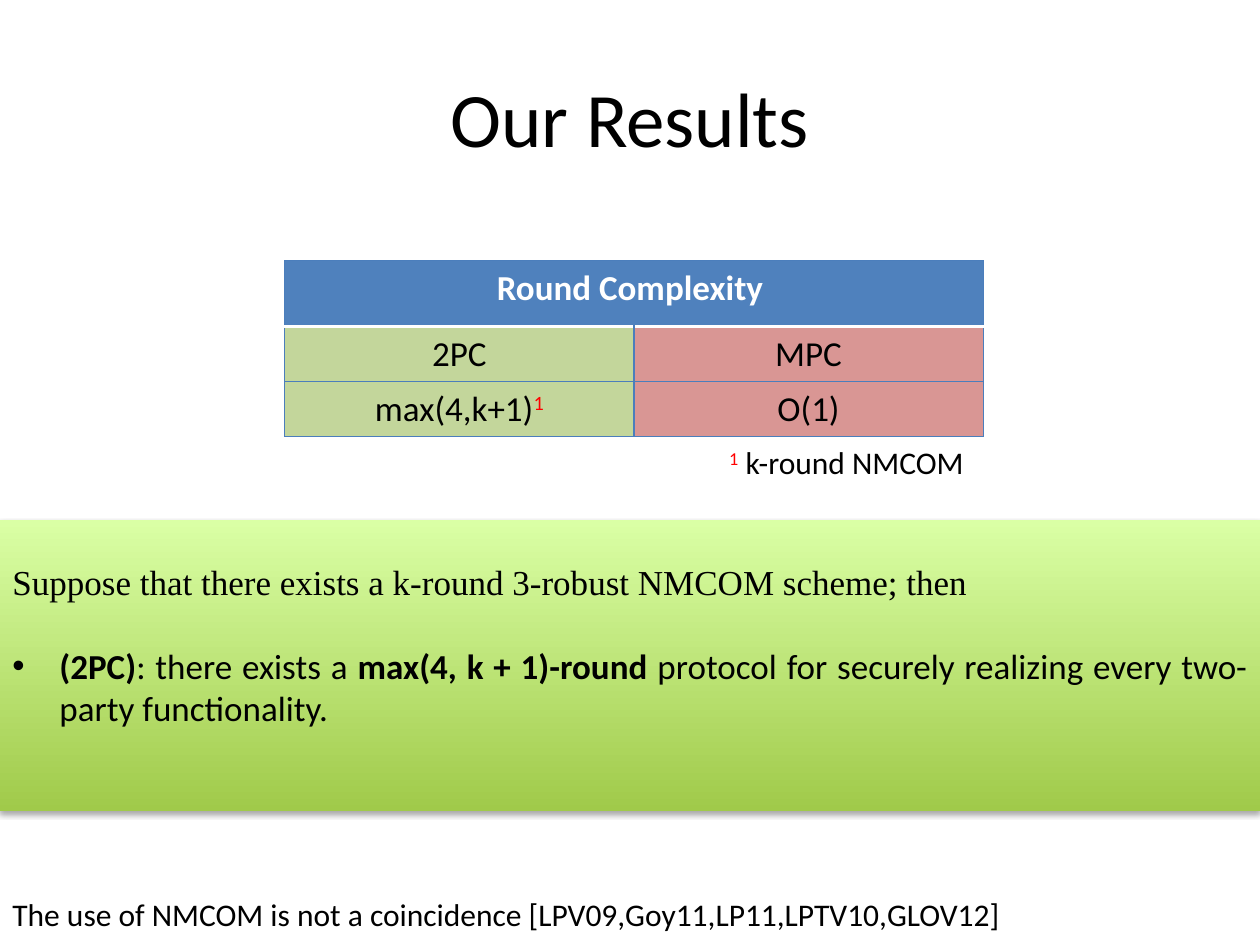
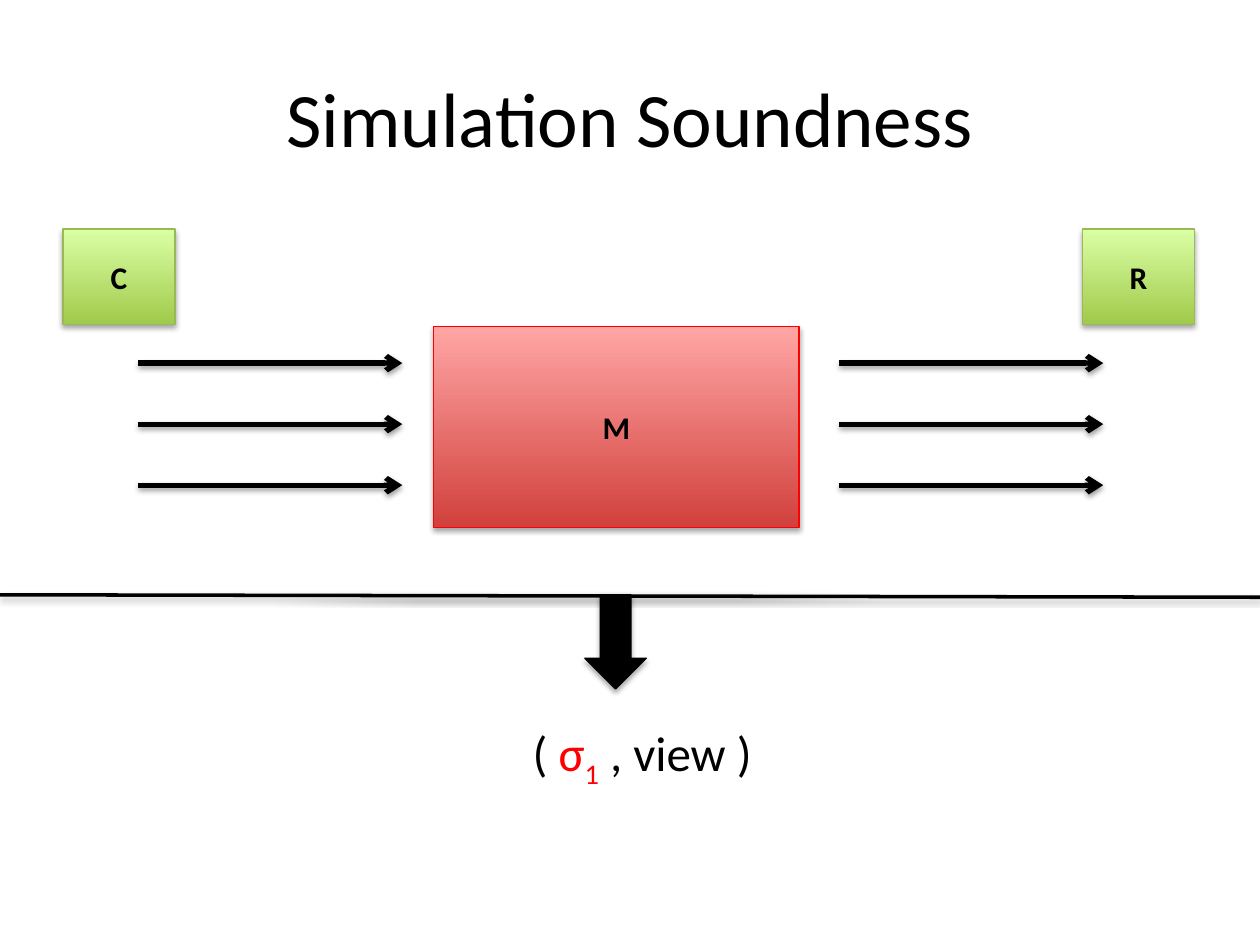
from lxml.etree import Element, SubElement
from pptx import Presentation
from pptx.dml.color import RGBColor
from pptx.enum.shapes import MSO_CONNECTOR, MSO_SHAPE
from pptx.enum.text import MSO_ANCHOR, MSO_AUTO_SIZE, PP_ALIGN
from pptx.oxml.ns import qn
from pptx.util import Cm, Pt

BLACK, WHITE, RED = "000000", "FFFFFF", "FF0000"
HEADER_BLUE, BORDER_BLUE = "4F81BD", "4B7EBC"
GREEN_EDGE = "98B955"
GREEN_GRADIENT = ("A0CA4A", "DAFFA5")
RED_GRADIENT = ("D1403C", "FFA6A5")
SLIDE_WIDTH, SLIDE_HEIGHT = 25.4, 19.05
TITLE_BOX = (1.27, 0.76, 22.86, 3.18)

# Rich text is a list of (text, run options); positions are in centimetres.
RESULTS_TITLE = "Our Results"
FOOTNOTE_MARK = ("1", {"color": RED, "baseline": 30})
COMPLEXITY_HEADER = "Round Complexity "
COMPLEXITY_COLUMNS = [
    ("C3D69B", [[("2PC", {})], [("max(4,k+1)", {}), FOOTNOTE_MARK]]),
    ("D99694", [[("MPC", {})], [("O(1)", {})]]),
]
COMPLEXITY_CORNER = (5.74, 5.26)
COMPLEXITY_COLUMN_WIDTH = 7.04
COMPLEXITY_ROW_HEIGHTS = (1.32, 1.11, 1.11)

FOOTNOTE = [FOOTNOTE_MARK, (" k-round NMCOM", {})]
FOOTNOTE_BOX = (14.45, 8.81, 5.36, 1.02)
THEOREM_PREMISE = [("Suppose that there exists a k-round 3-robust NMCOM scheme; then", {})]
THEOREM_CLAIM = [
    ("(2PC)", {"bold": True}),
    (": there exists a ", {}),
    ("max(4, k + 1)-round", {"bold": True}),
    (" protocol for securely realizing every two-party functionality.", {}),
]
THEOREM_BOX = (0, 10.49, SLIDE_WIDTH, 5.87)
CITATION = [("The use of NMCOM is not a coincidence [LPV09,Goy11,LP11,LPTV10,GLOV12]", {})]
CITATION_BOX = (0, 17.91, 20.5, 1.02)

SOUNDNESS_TITLE = "Simulation Soundness"
PARTIES = [
    ("M", (8.74, 6.58, 7.37, 4.06), RED_GRADIENT, RED),
    ("C", (1.27, 4.62, 2.26, 1.93), GREEN_GRADIENT, GREEN_EDGE),
    ("R", (21.82, 4.62, 2.26, 1.93), GREEN_GRADIENT, GREEN_EDGE),
]
MESSAGE_STARTS = (2.79, 16.92)
MESSAGE_LENGTH = 5.32
MESSAGE_TOP, MESSAGE_GAP, MESSAGE_COUNT = 7.32, 1.23, 3
DIVIDER = (0, 11.99, SLIDE_WIDTH, 12.04)
OUTPUT_ARROW_BOX = (11.79, 11.99, 1.24, 1.9)
OUTPUT = [
    ("( ", {}),
    ("σ", {"color": RED}),
    ("1", {"color": RED, "baseline": -25}),
    (" , view )", {}),
]
OUTPUT_BOX = (10.49, 14.45, 5.03, 1.45)


def rgb(value):
    return RGBColor.from_string(value)


def cm(values):
    return [Cm(value) for value in values]


def write(paragraph, runs, size, color=BLACK, bold=False, font="Calibri", align=PP_ALIGN.LEFT):
    paragraph.alignment = align
    paragraph.font.name = font
    paragraph.font.size = Pt(size)
    paragraph.font.bold = bold
    paragraph.font.color.rgb = rgb(color)
    for text, options in runs:
        run = paragraph.add_run()
        run.text = text
        if "bold" in options:
            run.font.bold = options["bold"]
        if "color" in options:
            run.font.color.rgb = rgb(options["color"])
        if "baseline" in options:
            run._r.get_or_add_rPr().set("baseline", str(options["baseline"] * 1000))


def add_bullet(paragraph, indent):
    """Give an already formatted paragraph a hanging bullet."""
    properties = paragraph._p.get_or_add_pPr()
    properties.set("marL", str(Cm(indent)))
    properties.set("indent", str(-Cm(indent)))
    defaults = properties.find(qn("a:defRPr"))
    defaults.addprevious(Element(qn("a:buFont"), typeface="Arial"))
    defaults.addprevious(Element(qn("a:buChar"), char="•"))


def add_shadow(effects, distance, opacity):
    shadow = SubElement(effects, qn("a:outerShdw"), blurRad=str(Pt(3.1)),
                        dist=str(Pt(distance)), dir="5400000", rotWithShape="0")
    tone = SubElement(shadow, qn("a:srgbClr"), val=BLACK)
    SubElement(tone, qn("a:alpha"), val=str(opacity * 1000))


def add_label(slide, box, runs, size):
    """Add a one-line text box that fits its text."""
    frame = slide.shapes.add_textbox(*cm(box)).text_frame
    frame.word_wrap = False
    frame.auto_size = MSO_AUTO_SIZE.SHAPE_TO_FIT_TEXT
    write(frame.paragraphs[0], runs, size)


def add_block(slide, preset, box, colors, edge=None):
    """Add a shadowed shape, with a bottom-to-top gradient if two colours are given."""
    block = slide.shapes.add_shape(preset, *cm(box))
    if len(colors) == 1:
        block.fill.solid()
        block.fill.fore_color.rgb = rgb(colors[0])
    else:
        block.fill.gradient()
        block.fill.gradient_angle = 90
        for stop, color, position in zip(block.fill.gradient_stops, colors, (0, 1)):
            stop.color.rgb = rgb(color)
            stop.position = position
    if edge:
        block.line.color.rgb = rgb(edge)
        block.line.width = Pt(0.75)
    else:
        block.line.fill.background()
    block.shadow.inherit = False
    add_shadow(block._element.spPr.find(qn("a:effectLst")), 1.8, 35)
    block.text_frame.word_wrap = True
    block.text_frame.vertical_anchor = MSO_ANCHOR.MIDDLE
    return block


def add_line(slide, ends, width, arrow=False):
    line = slide.shapes.add_connector(MSO_CONNECTOR.STRAIGHT, *cm(ends))
    line.line.color.rgb = rgb(BLACK)
    line.line.width = Pt(width)
    properties = line._element.spPr
    if arrow:
        SubElement(properties.find(qn("a:ln")), qn("a:tailEnd"), type="arrow")
    add_shadow(SubElement(properties, qn("a:effectLst")), 1.6, 38)


def add_titled_slide(presentation, title):
    slide = presentation.slides.add_slide(presentation.slide_layouts[6])
    frame = slide.shapes.add_textbox(*cm(TITLE_BOX)).text_frame
    frame.word_wrap = True
    frame.vertical_anchor = MSO_ANCHOR.MIDDLE
    write(frame.paragraphs[0], [(title, {})], 44, align=PP_ALIGN.CENTER)
    return slide


def style_cell(cell, fill, white_side):
    """Draw the cell's borders, one of them white and thicker, then its fill."""
    properties = cell._tc.get_or_add_tcPr()
    for side in "LRTB":
        color, width = (WHITE, 2) if side == white_side else (BORDER_BLUE, 0.75)
        border = SubElement(properties, qn(f"a:ln{side}"), w=str(Pt(width)))
        SubElement(SubElement(border, qn("a:solidFill")), qn("a:srgbClr"), val=color)
    cell.fill.solid()
    cell.fill.fore_color.rgb = rgb(fill)


def add_complexity_table(slide):
    column_count = len(COMPLEXITY_COLUMNS)
    size = (column_count * COMPLEXITY_COLUMN_WIDTH, sum(COMPLEXITY_ROW_HEIGHTS))
    table = slide.shapes.add_table(len(COMPLEXITY_ROW_HEIGHTS), column_count,
                                   *cm(COMPLEXITY_CORNER + size)).table
    for row, height in zip(table.rows, COMPLEXITY_ROW_HEIGHTS):
        row.height = Cm(height)
    for index, (fill, entries) in enumerate(COMPLEXITY_COLUMNS):
        table.columns[index].width = Cm(COMPLEXITY_COLUMN_WIDTH)
        style_cell(table.cell(0, index), HEADER_BLUE, "B")
        for row, runs in enumerate(entries, start=1):
            cell = table.cell(row, index)
            style_cell(cell, fill, "T" if row == 1 else None)
            write(cell.text_frame.paragraphs[0], runs, 20, align=PP_ALIGN.CENTER)
    header = table.cell(0, 0)
    header.merge(table.cell(0, column_count - 1))
    write(header.text_frame.paragraphs[0], [(COMPLEXITY_HEADER, {})], 20, WHITE, True,
          align=PP_ALIGN.CENTER)


def add_theorem(slide):
    frame = add_block(slide, MSO_SHAPE.RECTANGLE, THEOREM_BOX, GREEN_GRADIENT).text_frame
    frame.margin_bottom = Cm(0.99)
    write(frame.paragraphs[0], THEOREM_PREMISE, 20, font="Times New Roman",
          align=PP_ALIGN.JUSTIFY)
    claim = frame.add_paragraph()
    claim.space_before = Pt(24)
    write(claim, THEOREM_CLAIM, 20, align=PP_ALIGN.JUSTIFY)
    add_bullet(claim, 0.95)


def build_results(presentation):
    slide = add_titled_slide(presentation, RESULTS_TITLE)
    add_theorem(slide)
    add_label(slide, FOOTNOTE_BOX, FOOTNOTE, 18)
    add_complexity_table(slide)
    add_label(slide, CITATION_BOX, CITATION, 18)


def build_soundness(presentation):
    slide = add_titled_slide(presentation, SOUNDNESS_TITLE)
    for party, box, gradient, edge in PARTIES:
        block = add_block(slide, MSO_SHAPE.RECTANGLE, box, gradient, edge)
        write(block.text_frame.paragraphs[0], [(party, {})], 18, bold=True,
              align=PP_ALIGN.CENTER)
    for start in MESSAGE_STARTS:
        for index in range(MESSAGE_COUNT):
            y = MESSAGE_TOP + index * MESSAGE_GAP
            add_line(slide, (start, y, start + MESSAGE_LENGTH, y), 3, arrow=True)
    add_line(slide, DIVIDER, 2)
    add_block(slide, MSO_SHAPE.DOWN_ARROW, OUTPUT_ARROW_BOX, [BLACK], BLACK)
    add_label(slide, OUTPUT_BOX, OUTPUT, 28)


def main():
    presentation = Presentation()
    presentation.slide_width, presentation.slide_height = cm((SLIDE_WIDTH, SLIDE_HEIGHT))
    build_results(presentation)
    build_soundness(presentation)
    presentation.save("out.pptx")


if __name__ == "__main__":
    main()
